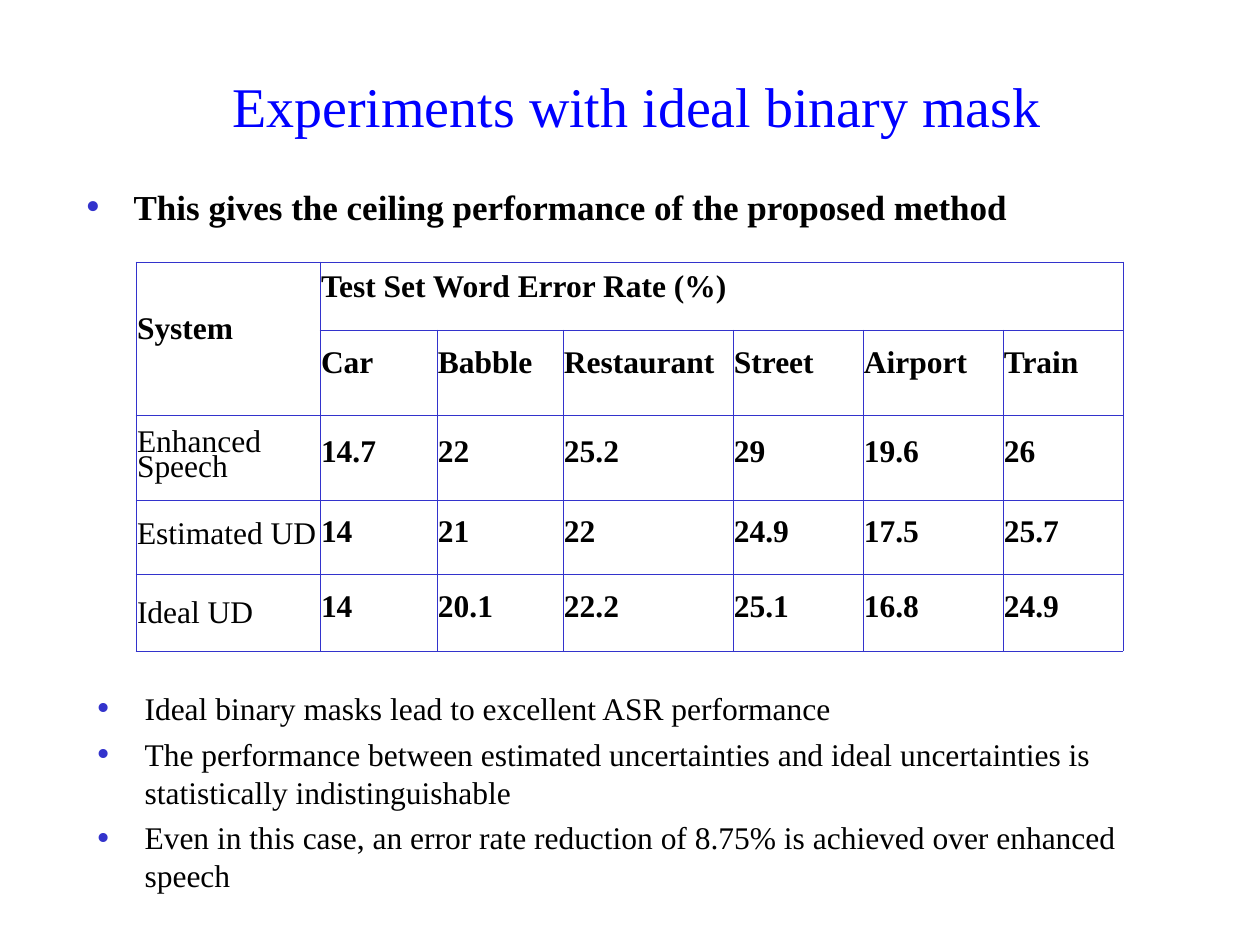
"""Build the slide on word error rates with an ideal binary mask."""
from dataclasses import dataclass

from lxml import etree
from pptx import Presentation
from pptx.dml.color import RGBColor
from pptx.enum import text
from pptx.oxml import ns
from pptx.util import Emu, Pt


@dataclass(frozen=True)
class Theme:
    font: str = "Times New Roman"
    heading: str = "0000FF"
    ink: str = "000000"
    accent: str = "3333CC"
    title_size: int = 32
    lead_size: int = 20
    base_size: int = 18
    border: float = 0.45


theme = Theme()
PX = 914400 / 126


def px(count):
    return Emu(round(count * PX))


def write(frame, *lines, size=theme.base_size, color=theme.ink, bold=False,
          align=None, before=0, spacing=1.0, bullet=False):
    frame.word_wrap = True
    for number, line in enumerate(lines):
        paragraph = frame.add_paragraph() if number else frame.paragraphs[0]
        paragraph.alignment = align
        paragraph.space_before = Pt(before)
        paragraph.line_spacing = spacing
        run = paragraph.add_run()
        run.text = line
        run.font.name = theme.font
        run.font.size = Pt(size)
        run.font.bold = bold
        run.font.color.rgb = RGBColor.from_string(color)
        if bullet:
            props = paragraph._p.get_or_add_pPr()
            props.set("marL", str(px(48)))
            props.set("indent", str(-px(48)))
            tint = etree.SubElement(props, ns.qn("a:buClr"))
            etree.SubElement(tint, ns.qn("a:srgbClr"), val=theme.accent)
            etree.SubElement(props, ns.qn("a:buSzPct"), val="120000")
            etree.SubElement(props, ns.qn("a:buFont"), typeface=theme.font)
            etree.SubElement(props, ns.qn("a:buChar"), char="•")


deck = Presentation()
deck.slide_width, deck.slide_height = px(1260), px(945)
slide = deck.slides.add_slide(deck.slide_layouts[3])
title, lead, findings = slide.placeholders

for holder, box in ((title, (77, 53, 1120, 105)),
                    (lead, (73, 179, 1133, 155)),
                    (findings, (84, 683, 1103, 218))):
    holder.left, holder.top, holder.width, holder.height = map(px, box)
    holder.text_frame.auto_size = text.MSO_AUTO_SIZE.NONE

write(title.text_frame, "Experiments with ideal binary mask",
      size=theme.title_size, color=theme.heading, align=text.PP_ALIGN.CENTER)
write(lead.text_frame, "This gives the ceiling performance of the proposed method",
      size=theme.lead_size, bold=True, before=5, bullet=True)
write(findings.text_frame,
      "Ideal binary masks lead to excellent ASR performance",
      "The performance between estimated uncertainties and ideal uncertainties "
      "is statistically indistinguishable",
      "Even in this case, an error rate reduction of 8.75% is achieved over "
      "enhanced speech",
      before=4.5, bullet=True)

error_rates = [
    ["System", "Test Set Word Error Rate (%)", "", "", "", "", ""],
    ["", "Car", "Babble", "Restaurant", "Street", "Airport", "Train"],
    ["Enhanced Speech", "14.7", "22", "25.2", "29", "19.6", "26"],
    ["Estimated UD", "14", "21", "22", "24.9", "17.5", "25.7"],
    ["Ideal UD", "14", "20.1", "22.2", "25.1", "16.8", "24.9"],
]
widths = [184, 117, 126, 170, 130, 140, 120]
heights = [68, 85, 85, 74, 77]
header_format = dict(bold=True, before=2.2, spacing=0.1)
rate_format = dict(bold=True, before=11.2, spacing=0.5)
system_format = dict(before=15.8, spacing=0.7)
last_system_format = dict(before=11.2)

grid = slide.shapes.add_table(len(heights), len(widths), px(136), px(262),
                              px(sum(widths)), px(sum(heights))).table
grid.first_row = grid.horz_banding = False
for column, width in zip(grid.columns, widths):
    column.width = px(width)
for row, height in zip(grid.rows, heights):
    row.height = px(height)
grid.cell(0, 0).merge(grid.cell(1, 0))
grid.cell(0, 1).merge(grid.cell(0, len(widths) - 1))

for r, entries in enumerate(error_rates):
    for c, entry in enumerate(entries):
        cell = grid.cell(r, c)
        cell.vertical_anchor = text.MSO_ANCHOR.MIDDLE
        cell.margin_left = cell.margin_right = px(1)
        cell.margin_top = cell.margin_bottom = px(6)
        cell.fill.background()
        cell_props = cell._tc.get_or_add_tcPr()
        for order, side in enumerate(("a:lnL", "a:lnR", "a:lnT", "a:lnB")):
            edge = etree.Element(ns.qn(side), w=str(Pt(theme.border)))
            paint = etree.SubElement(edge, ns.qn("a:solidFill"))
            etree.SubElement(paint, ns.qn("a:srgbClr"), val=theme.accent)
            cell_props.insert(order, edge)
        if r < 2:
            cell_format = header_format
        elif c:
            cell_format = rate_format
        elif r < len(heights) - 1:
            cell_format = system_format
        else:
            cell_format = last_system_format
        if entry:
            write(cell.text_frame, entry, **cell_format)

deck.save("out.pptx")
